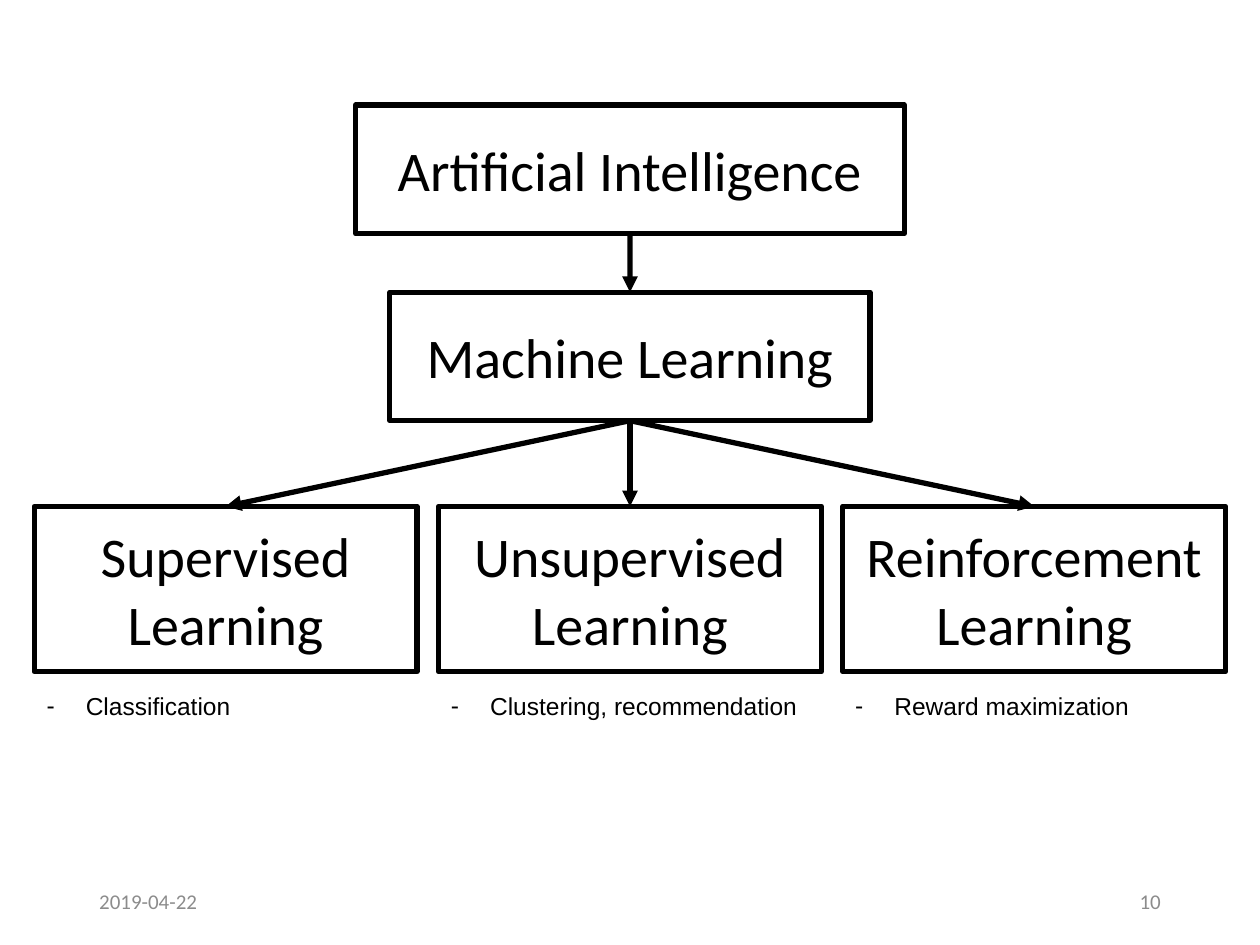
from lxml.etree import SubElement as Sub
from pptx import Presentation
from pptx.dml.color import RGBColor as Rgb
from pptx.enum.shapes import MSO_CONNECTOR as Link, MSO_SHAPE as Form
from pptx.enum.text import MSO_ANCHOR as Anchor, MSO_AUTO_SIZE as Fit, PP_ALIGN as Align
from pptx.oxml.ns import qn
from pptx.util import Cm, Pt

HUES = {"ink": "000000", "paper": "FFFFFF", "grey": "8C8C8C"}
MID = 12.7
STEP = 8.15
WIDE = 7.72
KINDS = [
    (["Supervised", "Learning"], "Classification"),
    (["Unsupervised Learning"], "Clustering, recommendation"),
    (["Reinforcement", "Learning"], "Reward maximization"),
]


class Chart:
    """Draw a tree of boxes, arrows and notes on one slide."""

    def __init__(self, deck):
        self.slide = deck.slides.add_slide(deck.slide_layouts[6])
        self.shapes = self.slide.shapes

    def hue(self, name):
        return Rgb.from_string(HUES[name])

    def label(self, para, text, size, face="Calibri", hue="ink"):
        run = para.add_run()
        run.text = text
        run.font.size = Pt(size)
        run.font.name = face
        run.font.color.rgb = self.hue(hue)

    def box(self, lines, mid, top, wide, high):
        box = self.shapes.add_shape(
            Form.RECTANGLE, Cm(mid - wide / 2), Cm(top), Cm(wide), Cm(high))
        box.shadow.inherit = False
        box.fill.solid()
        box.fill.fore_color.rgb = self.hue("paper")
        box.line.color.rgb = self.hue("ink")
        box.line.width = Pt(3)
        frame = box.text_frame
        frame.word_wrap = True
        frame.vertical_anchor = Anchor.MIDDLE
        for i, line in enumerate(lines):
            para = frame.add_paragraph() if i else frame.paragraphs[0]
            para.alignment = Align.CENTER
            self.label(para, line, 32)
        return box

    def arrow(self, start, end):
        link = self.shapes.add_connector(Link.STRAIGHT, 0, 0, 0, 0)
        link.begin_connect(start, 2)
        link.end_connect(end, 0)
        link.line.color.rgb = self.hue("ink")
        link.line.width = Pt(3)
        props = link._element.spPr
        Sub(props.find(qn("a:ln")), qn("a:tailEnd"), type="triangle")
        Sub(props, qn("a:effectLst"))

    def area(self, left, top, wide, high):
        frame = self.shapes.add_textbox(Cm(left), Cm(top), Cm(wide), Cm(high)).text_frame
        frame.word_wrap = True
        return frame

    def note(self, text, mid):
        frame = self.area(mid - WIDE / 2, 13.81, WIDE, 0.86)
        frame.auto_size = Fit.SHAPE_TO_FIT_TEXT
        para = frame.paragraphs[0]
        props = para._p.get_or_add_pPr()
        dent = Cm(0.79)
        props.set("marL", str(dent))
        props.set("indent", str(-dent))
        Sub(props, qn("a:buFont"), typeface="Arial")
        Sub(props, qn("a:buChar"), char="-")
        self.label(para, text, 14, "Arial")

    def foot(self, text, left, align):
        frame = self.area(left, 17.65, 5.72, 1.02)
        frame.vertical_anchor = Anchor.MIDDLE
        para = frame.paragraphs[0]
        para.alignment = align
        self.label(para, text, 12, hue="grey")


def main():
    deck = Presentation()
    deck.slide_width, deck.slide_height = Cm(25.4), Cm(19.05)
    tree = Chart(deck)
    tree.foot("2019-04-22", 1.75, Align.LEFT)
    tree.foot("10", 17.93, Align.RIGHT)
    root = tree.box(["Artificial Intelligence"], MID, 2.12, 11.06, 2.59)
    hub = tree.box(["Machine Learning"], MID, 5.89, 9.68, 2.59)
    tree.arrow(root, hub)
    for i, (lines, note) in enumerate(KINDS):
        mid = MID + (i - 1) * STEP
        leaf = tree.box(lines, mid, 10.21, WIDE, 3.33)
        tree.arrow(hub, leaf)
        tree.note(note, mid)
    deck.save("out.pptx")


if __name__ == "__main__":
    main()
